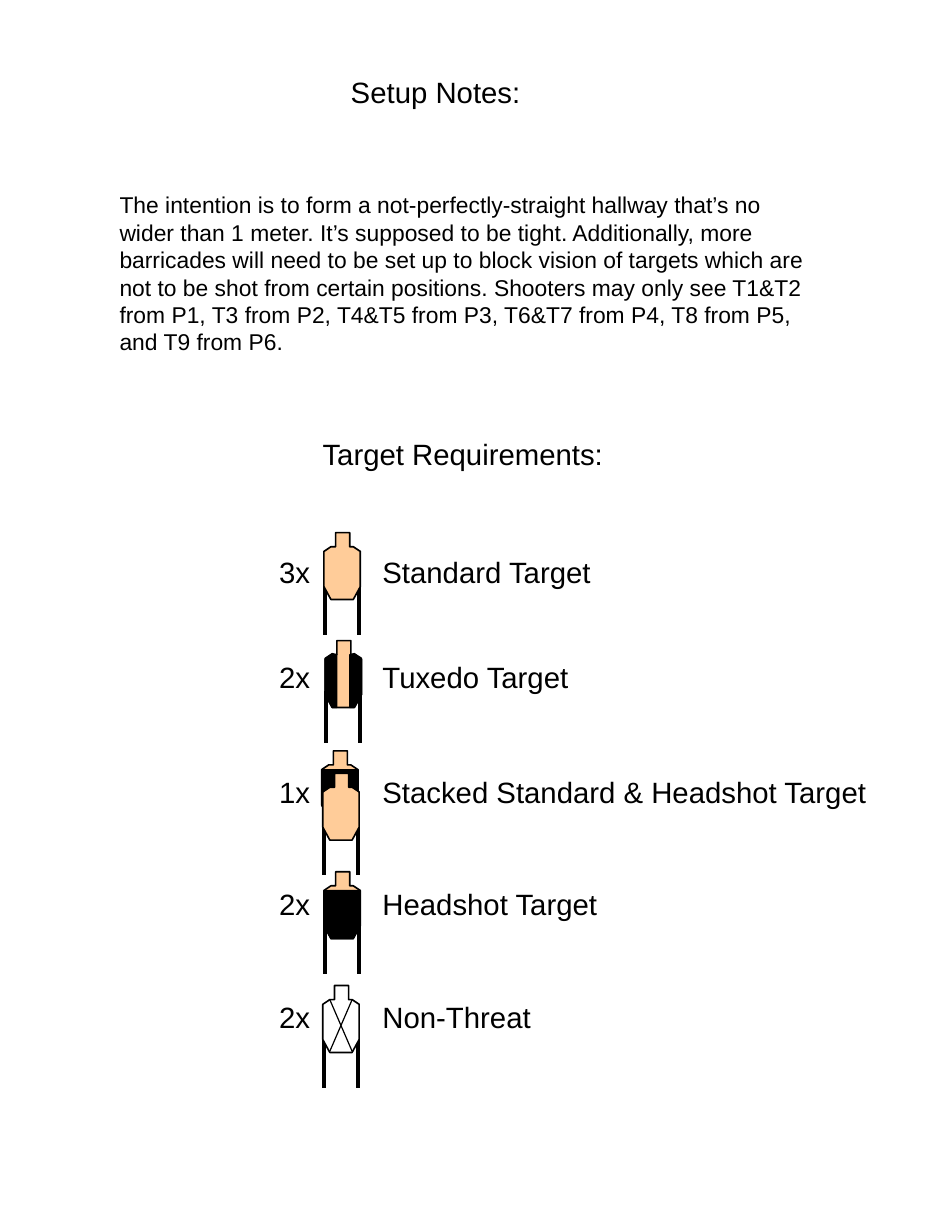
"""Build the setup notes and target requirements slide."""
from pptx import Presentation
from pptx.dml.color import RGBColor
from pptx.enum import shapes, text
from pptx.oxml.ns import qn
from pptx.util import Inches, Pt

BLACK = RGBColor(0, 0, 0)
WHITE = RGBColor(255, 255, 255)
TAN = RGBColor(0xFF, 0xCC, 0x99)

HEIGHT, WIDTH = 0.57, 0.31
LABEL_INDENT = 0.88
SILHOUETTE = [(0.1, 0), (0.22, 0), (0.22, 0.12), (0.25, 0.12), (0.31, 0.16),
              (0.31, 0.46), (0.25, HEIGHT), (0.06, HEIGHT), (0, 0.46),
              (0, 0.16), (0.06, 0.12), (0.1, 0.12)]
HOOD = [(0, 0.16), (0.31, 0.16), (0.31, 0.46), (0.25, HEIGHT),
        (0.06, HEIGHT), (0, 0.46)]
JACKET_RIGHT = [(0.21, 0.12), (0.21, HEIGHT), (0.25, HEIGHT), (0.31, 0.46),
                (0.31, 0.15), (0.25, 0.11)]
JACKET_LEFT = [(WIDTH - x, y) for x, y in JACKET_RIGHT]

NOTES = (
    "The intention is to form a not-perfectly-straight hallway that’s no wider "
    "than 1 meter. It’s supposed to be tight. Additionally, more barricades will "
    "need to be set up to block vision of targets which are not to be shot from "
    "certain positions. Shooters may only see T1&T2 from P1, T3 from P2, T4&T5 "
    "from P3, T6&T7 from P4, T8 from P5, and T9 from P6."
)


def add_text(slide, words, left, top, width, height=0.4, size=18, wrap=True, tab=None):
    """Add a text box, optionally with one tab stop in inches."""
    box = slide.shapes.add_textbox(Inches(left), Inches(top), Inches(width), Inches(height))
    frame = box.text_frame
    frame.word_wrap = wrap
    frame.auto_size = text.MSO_AUTO_SIZE.SHAPE_TO_FIT_TEXT
    paragraph = frame.paragraphs[0]
    if tab:
        stops = paragraph._p.get_or_add_pPr().makeelement(qn("a:tabLst"), {})
        stop = stops.makeelement(qn("a:tab"), {"pos": str(Inches(tab)), "algn": "l"})
        stops.append(stop)
        paragraph._p.get_or_add_pPr().append(stops)
    run = paragraph.add_run()
    run.text = words
    run.font.name = "Arial"
    run.font.size = Pt(size)
    run.font.color.rgb = BLACK


def add_line(slide, start, end, weight):
    """Add a straight black line without shadow."""
    ends = [Inches(value) for value in (*start, *end)]
    line = slide.shapes.add_connector(shapes.MSO_CONNECTOR.STRAIGHT, *ends)
    line.line.color.rgb = BLACK
    line.line.width = Pt(weight)
    properties = line._element.spPr
    properties.append(properties.makeelement(qn("a:effectLst"), {}))


def add_outline(slide, points, left, top, fill, weight=0):
    """Add a closed outline whose points are offsets from left and top."""
    corners = [(Inches(left + x), Inches(top + y)) for x, y in points]
    builder = slide.shapes.build_freeform(*corners[0])
    builder.add_line_segments(corners[1:], close=True)
    outline = builder.convert_to_shape()
    outline.shadow.inherit = False
    outline.fill.solid()
    outline.fill.fore_color.rgb = fill
    outline.line.color.rgb = BLACK
    outline.line.width = Pt(weight)


def add_legs(slide, left, top):
    """Add the two posts that hold a target up."""
    for x in (left + 0.01, left + 0.3):
        add_line(slide, (x, top + 0.43), (x, top + 0.87), 2.25)


def add_standard(slide, left, top, fill=TAN):
    """Add a plain target on its legs."""
    add_legs(slide, left, top)
    add_outline(slide, SILHOUETTE, left, top, fill, weight=1)


def add_tuxedo(slide, left, top):
    """Add a target with both sides blacked out."""
    add_standard(slide, left, top)
    for panel in (JACKET_RIGHT, JACKET_LEFT):
        add_outline(slide, panel, left, top, BLACK)


def add_headshot(slide, left, top):
    """Add a target with its body blacked out."""
    add_standard(slide, left, top)
    add_outline(slide, HOOD, left, top, BLACK)


def add_stacked(slide, left, top):
    """Add a standard target in front of a headshot target."""
    front_left, front_top = left + 0.01, top + 0.19
    add_legs(slide, front_left, front_top)
    add_outline(slide, SILHOUETTE, left, top, TAN, weight=1)
    add_outline(slide, HOOD, left, top, BLACK)
    add_outline(slide, SILHOUETTE, front_left, front_top, TAN, weight=1)


def add_non_threat(slide, left, top):
    """Add a white target crossed out."""
    add_standard(slide, left, top, fill=WHITE)
    for start, end in ((0.25, 0.06), (0.06, 0.25)):
        add_line(slide, (left + start, top + 0.12), (left + end, top + 0.56), 0.75)


def main():
    """Build and save the slide."""
    deck = Presentation()
    deck.slide_width, deck.slide_height = Inches(8), Inches(10.5)
    slide = deck.slides.add_slide(deck.slide_layouts[6])

    add_text(slide, "Setup Notes:", 2.89, 0.58, 1.66, wrap=False)
    add_text(slide, NOTES, 0.92, 1.58, 6.17, height=1.8, size=14)
    add_text(slide, "Target Requirements:", 2.65, 3.67, 2.7, wrap=False)

    requirements = [
        ("3x", "Standard Target", 4.67, 2.89, add_standard, 2.76, 4.54),
        ("2x", "Tuxedo Target", 5.57, 2.69, add_tuxedo, 2.77, 5.46),
        ("1x", "Stacked Standard & Headshot Target", 6.55, 5.3, add_stacked, 2.74, 6.4),
        ("2x", "Headshot Target", 7.5, 2.95, add_headshot, 2.76, 7.43),
        ("2x", "Non-Threat", 8.47, 2.38, add_non_threat, 2.75, 8.4),
    ]
    for count, label, top, width, add_target, target_left, target_top in requirements:
        add_target(slide, target_left, target_top)
        add_text(slide, f"{count}\t{label}", 2.28, top, width, tab=LABEL_INDENT)

    deck.save("out.pptx")


if __name__ == "__main__":
    main()
